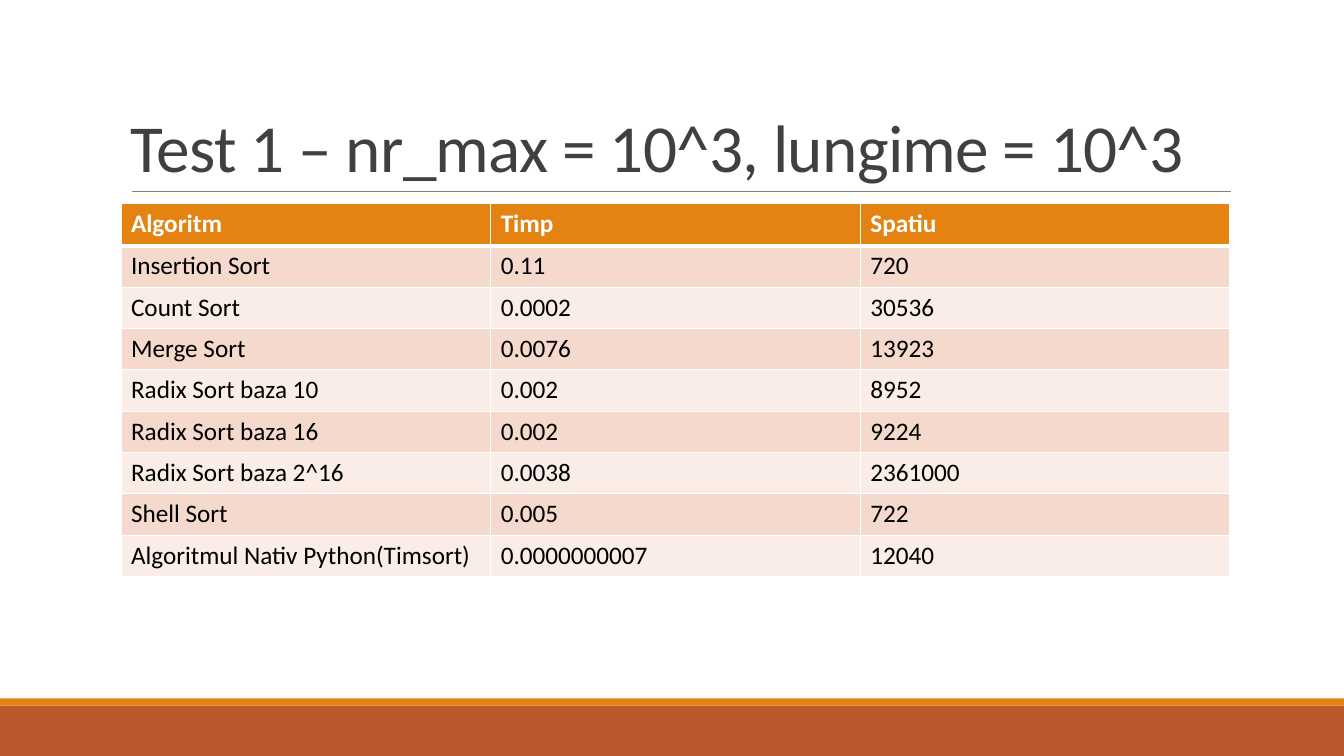
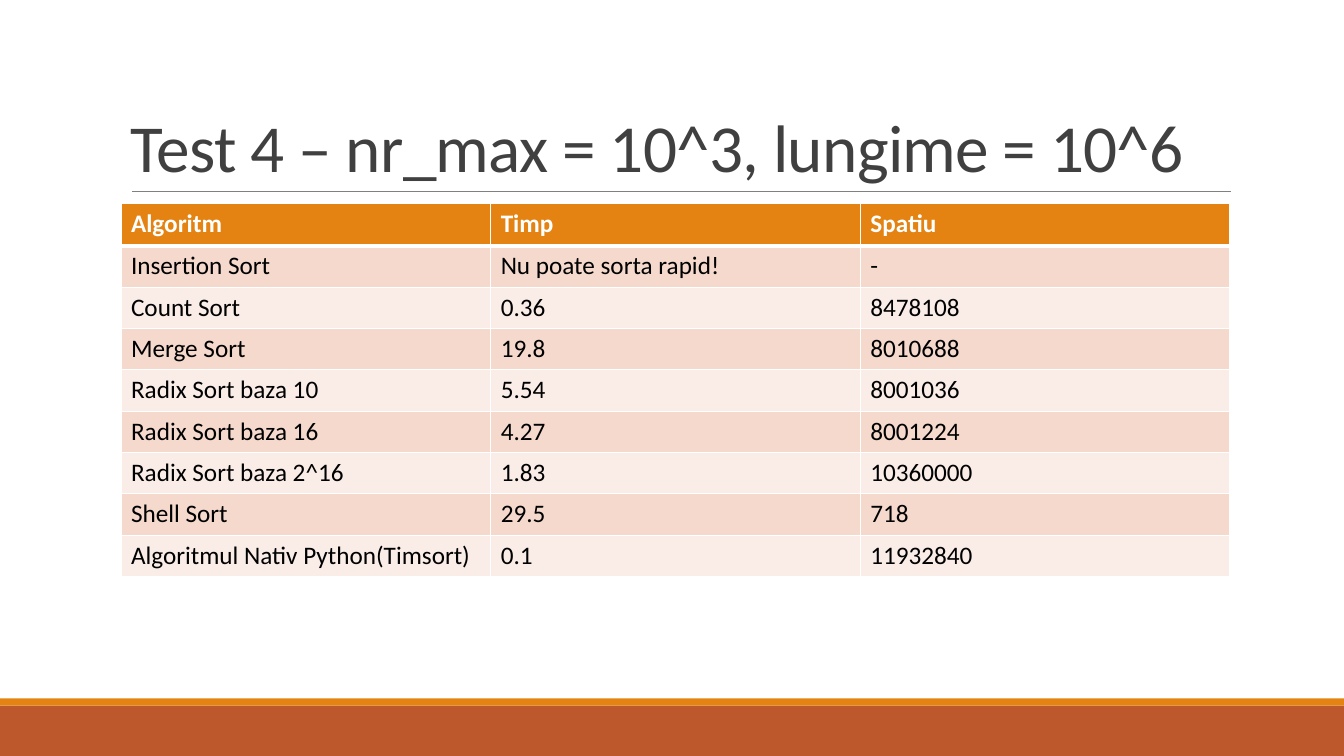
from dataclasses import dataclass

from lxml import etree
from pptx import Presentation
from pptx.dml.color import RGBColor
from pptx.enum import shapes, text
from pptx.oxml import ns
from pptx.util import Inches, Pt

FONT = "Calibri"
WHITE = RGBColor(0xFF, 0xFF, 0xFF)
BLACK = RGBColor(0x00, 0x00, 0x00)
TITLE_GREY = RGBColor(0x40, 0x40, 0x40)
RULE_GREY = RGBColor(0x80, 0x80, 0x80)
ORANGE = RGBColor(0xE4, 0x83, 0x12)
RUST = RGBColor(0xBD, 0x58, 0x2C)
ROW_DARK = RGBColor(0xF5, 0xD9, 0xCC)
ROW_LIGHT = RGBColor(0xFA, 0xED, 0xE7)

LEFT, WIDTH = 1.2, 11
HEADER_HEIGHT, ROW_HEIGHT = 0.42, 0.41
HEADER = ("Algoritm", "Timp", "Spatiu")
ALGORITHMS = (
    "Insertion Sort",
    "Count Sort",
    "Merge Sort",
    "Radix Sort baza 10",
    "Radix Sort baza 16",
    "Radix Sort baza 2^16",
    "Shell Sort",
    "Algoritmul Nativ Python(Timsort)",
)


@dataclass(frozen=True)
class Band:
    top: float
    height: float
    color: RGBColor


@dataclass(frozen=True)
class SortTest:
    title: str
    times: tuple[str, ...]
    spaces: tuple[str, ...]


BANDS = (Band(7, 0.5, RUST), Band(6.93, 0.07, ORANGE))

TESTS = (
    SortTest(
        "Test 1 – nr_max = 10^3, lungime = 10^3",
        ("0.11", "0.0002", "0.0076", "0.002", "0.002", "0.0038", "0.005",
         "0.0000000007"),
        ("720", "30536", "13923", "8952", "9224", "2361000", "722", "12040"),
    ),
    SortTest(
        "Test 4 – nr_max = 10^3, lungime = 10^6",
        ("Nu poate sorta rapid!", "0.36", "19.8", "5.54", "4.27", "1.83",
         "29.5", "0.1"),
        ("-", "8478108", "8010688", "8001036", "8001224", "10360000", "718",
         "11932840"),
    ),
)


def add_run(p, content: str, size: float, color: RGBColor, bold: bool = False):
    r = p.add_run()
    r.text = content
    r.font.name = FONT
    r.font.size = Pt(size)
    r.font.bold = bold
    r.font.color.rgb = color
    return r


def add_frame(slide, width) -> None:
    # Bottom bands
    for band in BANDS:
        sp = slide.shapes.add_shape(
            shapes.MSO_SHAPE.RECTANGLE, 0, Inches(band.top), width,
            Inches(band.height))
        sp.shadow.inherit = False
        sp.fill.solid()
        sp.fill.fore_color.rgb = band.color
        sp.line.fill.background()

    # Rule under the title
    rule = slide.shapes.add_connector(
        shapes.MSO_CONNECTOR.STRAIGHT, Inches(1.31), Inches(1.9),
        Inches(12.21), Inches(1.9))
    rule.line.color.rgb = RULE_GREY
    rule.line.width = Pt(0.5)
    etree.SubElement(rule._element.spPr, ns.qn("a:effectLst"))


def add_title(slide, title: str) -> None:
    box = slide.shapes.add_textbox(
        Inches(LEFT), Inches(0.31), Inches(WIDTH), Inches(1.59))
    tf = box.text_frame
    tf.word_wrap = True
    tf.vertical_anchor = text.MSO_ANCHOR.BOTTOM
    p = tf.paragraphs[0]
    p.line_spacing = 0.85
    r = add_run(p, title, 48, TITLE_GREY)
    r._r.get_or_add_rPr().set("spc", "-50")


def set_borders(cell, top: float, bottom: float) -> None:
    tc_pr = cell._tc.get_or_add_tcPr()
    for side, width in (("L", 1), ("R", 1), ("T", top), ("B", bottom)):
        ln = etree.SubElement(tc_pr, ns.qn(f"a:ln{side}"), w=str(Pt(width)))
        fill = etree.SubElement(ln, ns.qn("a:solidFill"))
        etree.SubElement(fill, ns.qn("a:srgbClr"), val=str(WHITE))


def add_results(slide, test: SortTest) -> None:
    rows = [HEADER, *zip(ALGORITHMS, test.times, test.spaces)]
    height = HEADER_HEIGHT + ROW_HEIGHT * len(ALGORITHMS)
    table = slide.shapes.add_table(
        len(rows), len(HEADER), Inches(LEFT), Inches(2.02), Inches(WIDTH),
        Inches(height)).table
    for i, values in enumerate(rows):
        is_header = i == 0
        table.rows[i].height = Inches(HEADER_HEIGHT if is_header else ROW_HEIGHT)
        if is_header:
            fill = ORANGE
        else:
            fill = ROW_DARK if i % 2 else ROW_LIGHT
        for j, value in enumerate(values):
            cell = table.cell(i, j)
            # The header is set off by a thicker line
            set_borders(cell, top=3 if i == 1 else 1, bottom=3 if is_header else 1)
            cell.fill.solid()
            cell.fill.fore_color.rgb = fill
            add_run(cell.text_frame.paragraphs[0], value, 18,
                    WHITE if is_header else BLACK, is_header)


def main() -> None:
    prs = Presentation()
    prs.slide_width = Inches(13.33)
    prs.slide_height = Inches(7.5)
    for test in TESTS:
        slide = prs.slides.add_slide(prs.slide_layouts[6])
        add_frame(slide, prs.slide_width)
        add_title(slide, test.title)
        add_results(slide, test)
    prs.save("out.pptx")


if __name__ == "__main__":
    main()
